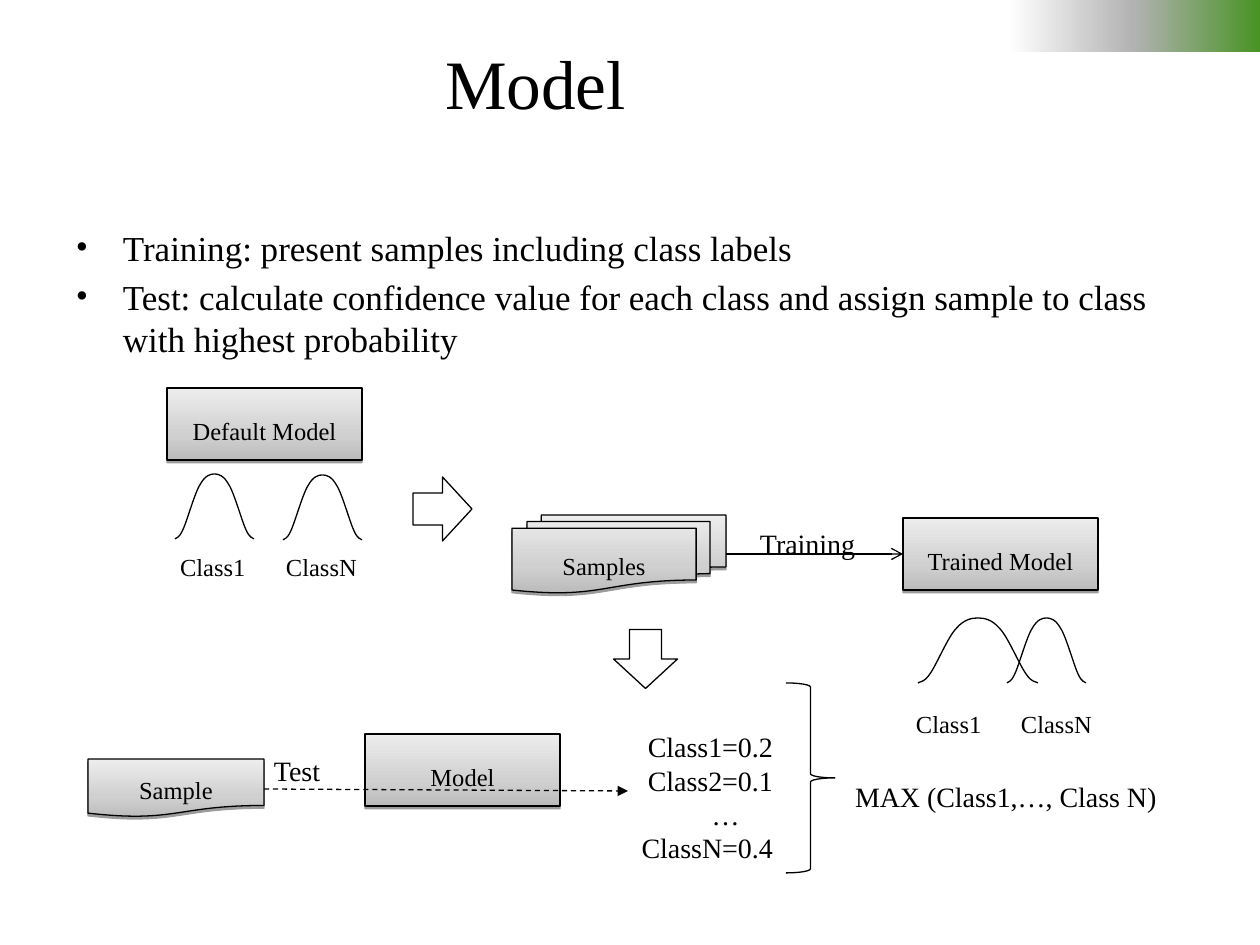
from dataclasses import dataclass

from lxml.etree import SubElement
from pptx import Presentation
from pptx.dml.color import RGBColor
from pptx.enum.dml import MSO_LINE
from pptx.enum.shapes import MSO_CONNECTOR, MSO_SHAPE
from pptx.enum.text import MSO_ANCHOR, PP_ALIGN
from pptx.oxml.ns import qn
from pptx.util import Emu, Pt


@dataclass(frozen=True)
class Theme:
    font: str = "Times New Roman"
    ink: RGBColor = RGBColor(0, 0, 0)
    bar: tuple = ((80, "FFFFFF"), (90, "B2B2B2"), (100, "489324"))
    box: tuple = ((0, "BCBCBC"), (35, "D0D0D0"), (100, "EDEDED"))
    title: float = 39.6
    body: int = 20
    label: int = 16
    small: int = 14
    line: float = 0.75


T = Theme()
W, H = 1260, 945
INSETS = 13, 20, 13, 6


def px(*lengths):
    """Turn pixels, 126 to the inch, into EMU."""
    return [Emu(round(n * 914400 / 126)) for n in lengths]


def write(tf, lines, size, align=PP_ALIGN.LEFT, anchor=MSO_ANCHOR.TOP,
          insets=INSETS, wrap=False):
    tf.word_wrap = wrap
    tf.vertical_anchor = anchor
    tf.margin_left, tf.margin_top, tf.margin_right, tf.margin_bottom = px(*insets)
    for i, line in enumerate(lines):
        p = tf.add_paragraph() if i else tf.paragraphs[0]
        p.text = line
        p.alignment = align
        p.font.name, p.font.size, p.font.color.rgb = T.font, Pt(size), T.ink


prs = Presentation()
prs.slide_width, prs.slide_height = px(W, H)
s = prs.slides.add_slide(prs.slide_layouts[6])
shapes = s.shapes
graded = []    # (shape, stops, angle)
outlined = []

# Header bar, title and bullets
bar = shapes.add_shape(MSO_SHAPE.RECTANGLE, *px(0, 0, W, 52))
bar.line.fill.background()
bar.shadow.inherit = False
graded.append((bar, T.bar, 0))

tb = shapes.add_textbox(*px(168, 38, 735, 88))
write(tb.text_frame, ["Model"], T.title, PP_ALIGN.CENTER, MSO_ANCHOR.MIDDLE,
      (13, 6, 13, 6), True)

tb = shapes.add_textbox(*px(63, 220, 1134, 147))
write(tb.text_frame, [
    "Training: present samples including class labels",
    "Test: calculate confidence value for each class and assign sample to class "
    "with highest probability",
], T.body, insets=(13, 6, 13, 6), wrap=True)
hang = px(47)[0]
for p in tb.text_frame.paragraphs:
    p.space_before = Pt(4)
    pPr = p._p.get_or_add_pPr()
    pPr.set("marL", str(hang))
    pPr.set("indent", str(-hang))
    for tag, attrs in [("a:buFont", {"typeface": T.font}), ("a:buChar", {"char": "•"})]:
        pPr.insert_element_before(pPr.makeelement(qn(tag), attrs),
                                  "a:tabLst", "a:defRPr", "a:extLst")

# Shaded boxes
for kind, text, at in [
    (MSO_SHAPE.RECTANGLE, "Default Model", (167, 388, 195, 72)),
    (MSO_SHAPE.FLOWCHART_MULTIDOCUMENT, "Samples", (512, 515, 214, 78)),
    (MSO_SHAPE.RECTANGLE, "Trained Model", (903, 518, 195, 72)),
    (MSO_SHAPE.FLOWCHART_DOCUMENT, "Sample", (88, 759, 176, 58)),
    (MSO_SHAPE.RECTANGLE, "Model", (365, 734, 195, 72)),
]:
    sp = shapes.add_shape(kind, *px(*at))
    write(sp.text_frame, [text], T.small, PP_ALIGN.CENTER, MSO_ANCHOR.MIDDLE)
    sp.shadow.inherit = False
    shadow = SubElement(sp._element.spPr.find(qn("a:effectLst")), qn("a:outerShdw"),
                        blurRad="0", dist="20000", dir="5400000", rotWithShape="0")
    color = SubElement(shadow, qn("a:srgbClr"), val="000000")
    SubElement(color, qn("a:alpha"), val="38000")
    graded.append((sp, T.box, 90))
    outlined.append(sp)

for sp, stops, angle in graded:
    sp.fill.gradient()
    sp.fill.gradient_angle = angle
    gs_lst = sp._element.spPr.find(".//" + qn("a:gsLst"))
    gs_lst.clear()
    for pos, rgb in stops:
        gs = SubElement(gs_lst, qn("a:gs"), pos=str(pos * 1000))
        SubElement(gs, qn("a:srgbClr"), val=rgb)

# Block arrows and brace
for kind, at, turn in [
    (MSO_SHAPE.RIGHT_ARROW, (413, 477, 59, 64), 0),
    (MSO_SHAPE.RIGHT_ARROW, (616, 627, 59, 64), 90),
    (MSO_SHAPE.RIGHT_BRACE, (786, 683, 49, 190), 0),
]:
    sp = shapes.add_shape(kind, *px(*at))
    sp.rotation = turn
    sp.fill.background()
    sp.shadow.inherit = False
    outlined.append(sp)

# Bell curves: two mirrored halves, each of three cubic curves in a unit square
HALF = [(0, 1), (0.02, 0.98), (0.1, 1), (0.2, 0.86), (0.31, 0.72), (0.5, 0.29),
        (0.64, 0.16), (0.77, 0.02), (0.9, 0), (1, 0)]
for left, top, width in [(175, 474, 79), (283, 475, 79), (918, 618, 120), (1007, 618, 79)]:
    for start, reach in [(left, width / 2), (left + width, -width / 2)]:
        points = [px(start + x * reach, top + y * 65) for x, y in HALF]
        fb = shapes.build_freeform(*points[0])
        fb.add_line_segments(points[1:], close=False)
        sp = fb.convert_to_shape()
        lines = sp._element.findall(".//" + qn("a:lnTo"))
        outline = lines[0].getparent()
        for i in range(0, len(lines), 3):
            curve = SubElement(outline, qn("a:cubicBezTo"))
            for ln in lines[i:i + 3]:
                curve.append(ln[0])
                outline.remove(ln)
        sp.fill.background()
        sp.shadow.inherit = False
        outlined.append(sp)

# Connectors
for ends, head, dash in [
    ((726, 554, 903, 554), "arrow", None),
    ((264, 789, 628, 791), "triangle", MSO_LINE.DASH),
]:
    cn = shapes.add_connector(MSO_CONNECTOR.STRAIGHT, *px(*ends))
    cn.line.dash_style = dash
    SubElement(cn.line._get_or_add_ln(), qn("a:tailEnd"), type=head)
    SubElement(cn._element.spPr, qn("a:effectLst"))
    outlined.append(cn)

for sp in outlined:
    sp.line.color.rgb = T.ink
    sp.line.width = Pt(T.line)

# Labels
for text, size, at in [
    ("Class1", T.small, (167, 532, 96, 57)),
    ("ClassN", T.small, (273, 532, 100, 57)),
    ("Class1", T.small, (903, 689, 96, 57)),
    ("ClassN", T.small, (1008, 689, 100, 57)),
    ("Training", T.label, (747, 507, 125, 60)),
    ("Test", T.label, (261, 734, 76, 60)),
    ("MAX (Class1,…, Class N)", T.label, (842, 760, 335, 60)),
]:
    write(shapes.add_textbox(*px(*at)).text_frame, [text], size)

tf = shapes.add_textbox(*px(627, 710, 159, 162)).text_frame
write(tf, ["Class1=0.2", "Class2=0.1", "…", "ClassN=0.4"], T.label, PP_ALIGN.RIGHT)
ellipsis = tf.paragraphs[2]
ellipsis.alignment = PP_ALIGN.LEFT
ellipsis._p.get_or_add_pPr().set("marL", str(px(70)[0]))

prs.save("out.pptx")
